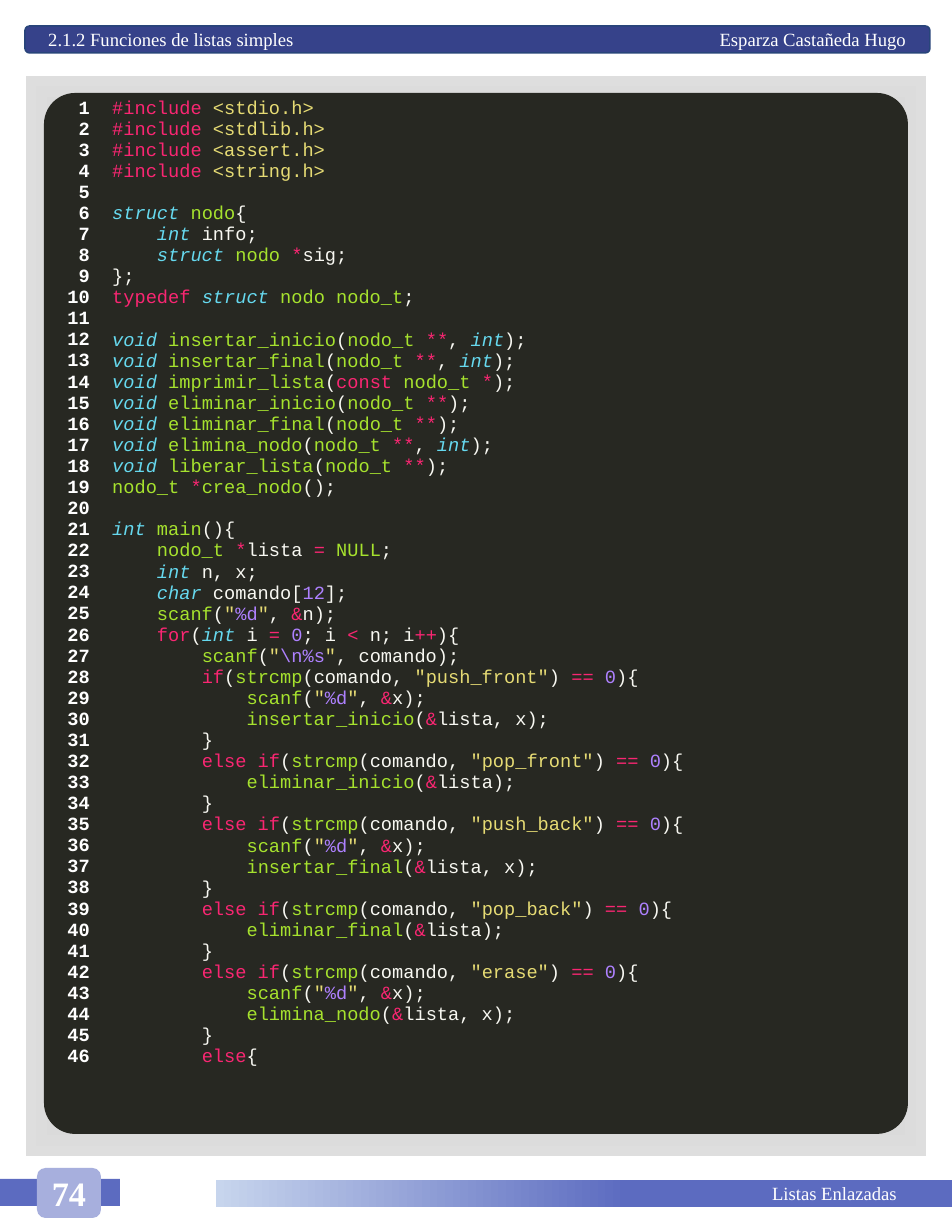
from itertools import groupby

from lxml.etree import SubElement
from pptx import Presentation
from pptx.dml.color import RGBColor
from pptx.enum.shapes import MSO_SHAPE
from pptx.enum.text import MSO_ANCHOR, PP_ALIGN
from pptx.oxml import parse_xml
from pptx.oxml.ns import qn
from pptx.util import Emu, Pt

# Content
SECTION, AUTHOR = "2.1.2 Funciones de listas simples", "Esparza Castañeda Hugo"
PAGE, CHAPTER = "74", "Listas Enlazadas"
DECLARATIONS = """#include <stdio.h>
#include <stdlib.h>
#include <assert.h>
#include <string.h>

struct nodo{
    int info;
    struct nodo *sig;
};
typedef struct nodo nodo_t;

void insertar_inicio(nodo_t **, int);
void insertar_final(nodo_t **, int);
void imprimir_lista(const nodo_t *);
void eliminar_inicio(nodo_t **);
void eliminar_final(nodo_t **);
void elimina_nodo(nodo_t **, int);
void liberar_lista(nodo_t **);
nodo_t *crea_nodo();
"""
MAIN_START = r"""int main(){
    nodo_t *lista = NULL;
    int n, x;
    char comando[12];
    scanf("%d", &n);
    for(int i = 0; i < n; i++){
        scanf("\n%s", comando);
        if(strcmp(comando, "push_front") == 0){
            scanf("%d", &x);
            insertar_inicio(&lista, x);
        }"""
COMMANDS = """        else if(strcmp(comando, "pop_front") == 0){
            eliminar_inicio(&lista);
        }
        else if(strcmp(comando, "push_back") == 0){
            scanf("%d", &x);
            insertar_final(&lista, x);
        }
        else if(strcmp(comando, "pop_back") == 0){
            eliminar_final(&lista);
        }
        else if(strcmp(comando, "erase") == 0){
            scanf("%d", &x);
            elimina_nodo(&lista, x);
        }
        else{"""
CODE = [line for part in (DECLARATIONS, MAIN_START, COMMANDS) for line in part.split("\n")]

# Syntax colours
TYPES = {"struct", "int", "void", "char"}
KEYWORDS = {"typedef", "const", "for", "if", "else"}
NAMES = {"nodo", "nodo_t", "NULL"}
OPERATORS = "*&=<+"
WHITE, PLAIN, PINK, BLUE = "FFFFFF", "F8F8F2", "F92672", "66D9EF"
GREEN, YELLOW, PURPLE = "A6E22E", "E6DB74", "AE81FF"

SERIF, MONO = "Times New Roman", "Courier New"
CODE_SIZE, LINE_HEIGHT, CHAR_WIDTH = 12, 13.6, 7.2
NO_GRID = "{2D5ABB26-0587-4C30-8999-92F81FD0307C}"
A = "http://schemas.openxmlformats.org/drawingml/2006/main"


def px(n):
    return Emu(n * 914400 // 112)


def rgb(value):
    return RGBColor.from_string(value)


def style(r, font, size, color, bold=False, italic=False):
    f = r.font
    f.name, f.size, f.bold, f.italic = font, Pt(size), bold, italic
    f.color.rgb = rgb(color)


def box(kind, x, y, w, h, fill=None, line=None):
    sp = s.shapes.add_shape(kind, px(x), px(y), px(w), px(h))
    sp.shadow.inherit = False
    if line:
        sp.line.color.rgb, sp.line.width = rgb(line), Pt(1)
    else:
        sp.line.fill.background()
    if fill:
        sp.fill.solid()
        sp.fill.fore_color.rgb = rgb(fill)
    return sp


def gradient(sp, stops, direction):
    gs = "".join(f'<a:gs pos="{pos * 1000}"><a:srgbClr val="{c}"/></a:gs>' for pos, c in stops)
    xml = f'<a:gradFill xmlns:a="{A}"><a:gsLst>{gs}</a:gsLst>{direction}</a:gradFill>'
    sp._element.spPr.prstGeom.addnext(parse_xml(xml))


def label(sp, text, size, align, bold=False):
    tf = sp.text_frame
    tf.vertical_anchor = MSO_ANCHOR.MIDDLE
    p = tf.paragraphs[0]
    p.text, p.alignment = text, align
    for r in p.runs:
        style(r, SERIF, size, WHITE, bold)
    return tf


def char_kind(c):
    if c.isalnum() or c == "_":
        return "word"
    if c == " ":
        return "space"
    return "operator" if c in OPERATORS else "other"


def tokens(line):
    """Yield (text, colour) for each part of a line of C."""
    if line.startswith("#"):
        directive, header = line.split(" ")
        yield from ((directive + " ", PINK), (header, YELLOW))
        return
    for i, part in enumerate(line.split('"')):
        if i % 2:
            inner = PURPLE if "%" in part else YELLOW
            yield from (('"', YELLOW), (part, inner), ('"', YELLOW))
            continue
        color = PLAIN
        groups = [(k, "".join(g)) for k, g in groupby(part, char_kind)]
        for (kind, text), (_, following) in zip(groups, groups[1:] + [("", "")]):
            if kind == "operator" or text in KEYWORDS:
                color = PINK
            elif text in TYPES:
                color = BLUE
            elif text.isdigit():
                color = PURPLE
            elif kind == "word" and (text in NAMES or following.startswith("(")):
                color = GREEN
            elif kind != "space":
                color = PLAIN
            yield text, color


prs = Presentation()
prs.slide_width, prs.slide_height = px(952), px(1232)
s = prs.slides.add_slide(prs.slide_layouts[6])
RECT, ROUND = MSO_SHAPE.RECTANGLE, MSO_SHAPE.ROUNDED_RECTANGLE

# Header bar and page number
box(RECT, 0, 1179, 120, 27, "5C6BC0")
header = box(ROUND, 25, 26, 905, 27, "36428A", "28457A")
tf = label(header, f"{SECTION}\t{AUTHOR}", 12, PP_ALIGN.LEFT)
tf.margin_left = px(22)
tabs = SubElement(tf.paragraphs[0]._p.get_or_add_pPr(), qn("a:tabLst"))
SubElement(tabs, qn("a:tab"), pos=str(px(858)), algn="r")
label(box(ROUND, 37, 1168, 64, 50, "A7AFDD"), PAGE, 22, PP_ALIGN.CENTER, True)

# Code panel in its grey frame
gradient(box(RECT, 26, 76, 900, 1080),
         [(11, "7B7B7B"), (61, "BCBCBC"), (100, "DEDEDE"), (100, "FFFFFF")],
         '<a:path path="rect"><a:fillToRect l="50000" t="50000" r="50000" b="50000"/></a:path>')
panel = box(ROUND, 44, 93, 864, 1041, "272822")
panel.adjustments[0] = 0.036

# Listing: line numbers and code
table = s.shapes.add_table(1, 2, px(44), px(93), px(864), px(1041)).table
table.first_row = table.horz_banding = False
table._tbl.tblPr.find(qn("a:tableStyleId")).text = NO_GRID
for column, width in zip(table.columns, (57, 807)):
    column.width = px(width)
numbers, listing = table.cell(0, 0), table.cell(0, 1)
for cell in (numbers, listing):
    cell.fill.background()

numbers.text_frame.text = "\n".join(str(n) for n in range(1, len(CODE) + 1))
for p in numbers.text_frame.paragraphs:
    p.alignment = PP_ALIGN.RIGHT
    style(p.runs[0], MONO, CODE_SIZE, WHITE, bold=True)

tf = listing.text_frame
p = tf.paragraphs[0]
for i, line in enumerate(CODE):
    if not line:
        continue
    if i:
        p = tf.add_paragraph()
        if not CODE[i - 1]:
            p.space_before = Pt(LINE_HEIGHT)
    code = line.lstrip()
    indent = len(line) - len(code)
    if indent:
        p._p.get_or_add_pPr().set("marL", str(Pt(indent * CHAR_WIDTH)))
    for color, group in groupby(tokens(code), lambda token: token[1]):
        r = p.add_run()
        r.text = "".join(text for text, _ in group)
        style(r, MONO, CODE_SIZE, color, italic=color == BLUE)

# Footer bar
footer = box(RECT, 216, 1180, 736, 27)
gradient(footer, [(44, "5C6BC0"), (100, "C7D5ED")], '<a:lin ang="10800000" scaled="0"/>')
label(footer, CHAPTER, 12, PP_ALIGN.RIGHT).margin_right = px(55)

prs.save("out.pptx")
